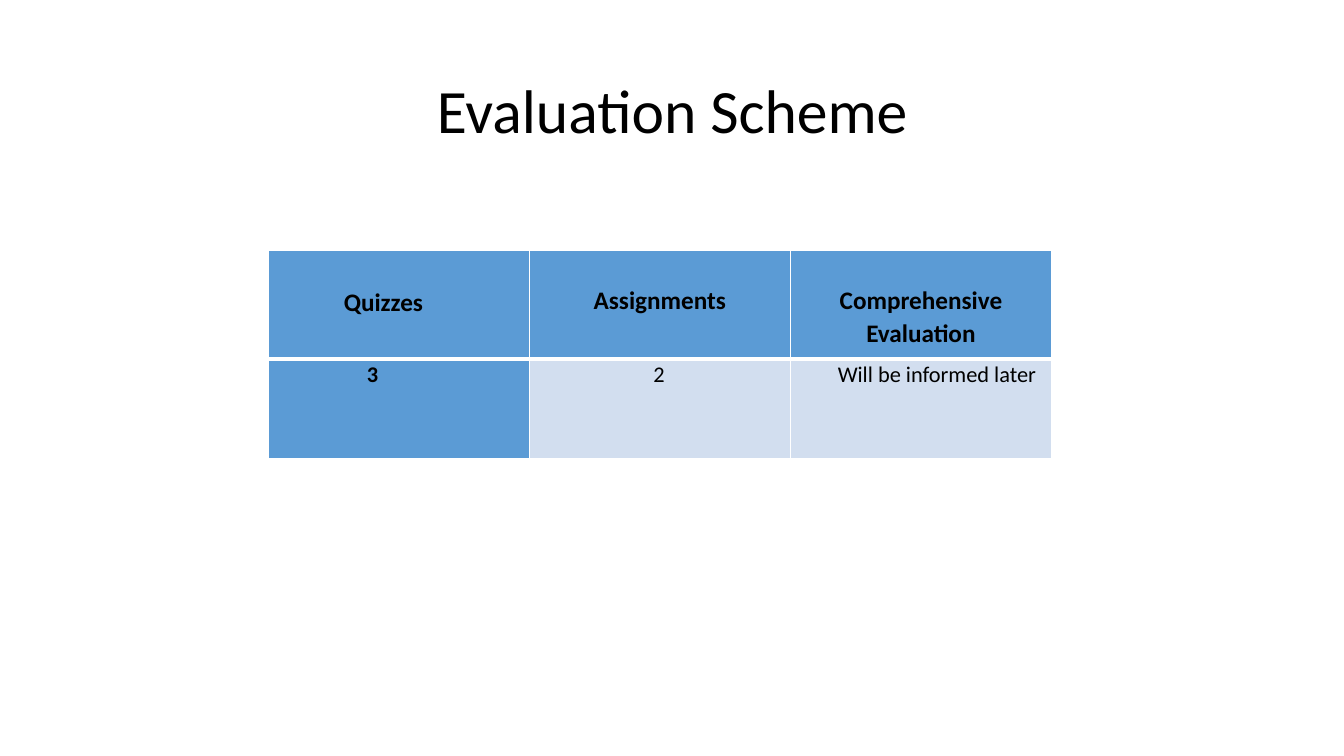
from dataclasses import dataclass

from lxml.etree import SubElement
from pptx import Presentation
from pptx.dml.color import RGBColor as Color
from pptx.enum.text import MSO_ANCHOR as Anchor, PP_ALIGN as Align
from pptx.oxml.ns import qn
from pptx.util import Inches, Pt


@dataclass(frozen=True)
class Theme:
    font: str = "Calibri"
    ink: str = "000000"
    accent: str = "5B9BD5"
    pale: str = "D2DEEF"
    border: str = "FFFFFF"
    title_size: int = 44
    header_size: int = 18
    body_size: int = 16
    thin: int = 1
    thick: int = 3


class SlideBuilder:
    """Place elements on a slide using a grid of tenth-inch columns and rows."""

    def __init__(self, presentation, theme):
        self.theme = theme
        self.slide = presentation.slides.add_slide(presentation.slide_layouts[5])

    def grid(self, *units):
        return [Inches(unit * 0.1) for unit in units]

    def add_text(self, frame, text, size, bold=False, align=Align.LEFT, spacing=1.0, indent=0):
        paragraph = frame.paragraphs[0]
        paragraph.alignment = align
        paragraph.line_spacing = spacing
        if indent:
            properties = paragraph._p.get_or_add_pPr()
            properties.set("marL", str(Inches(indent)))
            properties.set("indent", "0")
        run = paragraph.add_run()
        run.text = text
        run.font.name = self.theme.font
        run.font.size = Pt(size)
        run.font.bold = bold
        run.font.color.rgb = Color.from_string(self.theme.ink)

    def title(self, text, area):
        title = self.slide.shapes.title
        title.left, title.top, title.width, title.height = self.grid(*area)
        title.text_frame.vertical_anchor = Anchor.MIDDLE
        self.add_text(title.text_frame, text, self.theme.title_size, align=Align.CENTER, spacing=0.9)

    def borders(self, cell, top, bottom):
        thin = self.theme.thin
        properties = cell._tc.get_or_add_tcPr()
        for side, width in (("L", thin), ("R", thin), ("T", top), ("B", bottom)):
            line = SubElement(properties, qn(f"a:ln{side}"), w=str(Pt(width)))
            fill = SubElement(line, qn("a:solidFill"))
            SubElement(fill, qn("a:srgbClr"), val=self.theme.border)

    def cell(self, cell, text, fill, top=1, bottom=1, margin_top=0, **text_format):
        cell.margin_left = cell.margin_right = Inches(0.07)
        cell.margin_top, cell.margin_bottom = Inches(margin_top), 0
        self.borders(cell, top, bottom)
        cell.fill.solid()
        cell.fill.fore_color.rgb = Color.from_string(fill)
        self.add_text(cell.text_frame, text, spacing=1.07, **text_format)

    def table(self, left, top, column_width, row_heights, header, body):
        theme = self.theme
        area = (left, top, column_width * len(header), sum(row_heights))
        table = self.slide.shapes.add_table(2, len(header), *self.grid(*area)).table
        for column in table.columns:
            column.width = self.grid(column_width)[0]
        for row, height in zip(table.rows, self.grid(*row_heights)):
            row.height = height
        for index, (text, text_format) in enumerate(header):
            self.cell(table.cell(0, index), text, theme.accent, bottom=theme.thick,
                      size=theme.header_size, bold=True, **text_format)
        for index, (text, indent) in enumerate(body):
            first = index == 0
            self.cell(table.cell(1, index), text, theme.accent if first else theme.pale,
                      top=theme.thick, size=theme.body_size, bold=first, indent=indent)


def main():
    presentation = Presentation()
    presentation.slide_width, presentation.slide_height = Inches(13.33), Inches(7.5)
    builder = SlideBuilder(presentation, Theme())
    builder.title("Evaluation Scheme", (9.2, 4, 115, 14.5))
    centred = {"align": Align.CENTER, "margin_top": 0.33}
    builder.table(
        26.6, 24.8, 25.9, (10.8, 9.9),
        header=[
            ("Quizzes", {"indent": 0.68, "margin_top": 0.35}),
            ("Assignments", centred),
            ("Comprehensive Evaluation", centred),
        ],
        body=[("3", 0.91), ("2", 1.16), ("Will be informed later", 0.4)],
    )
    presentation.save("out.pptx")


if __name__ == "__main__":
    main()
